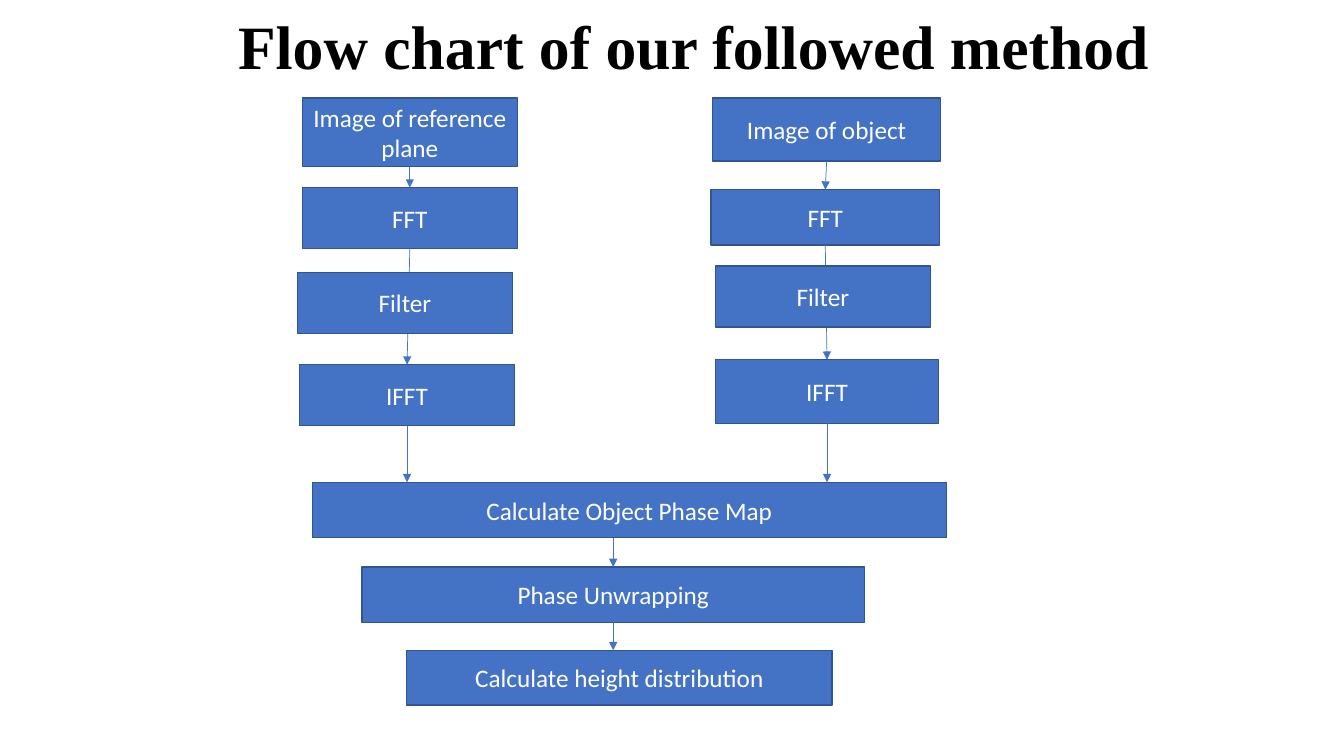
from lxml import etree
from pptx import Presentation
from pptx.dml.color import RGBColor
from pptx.enum.shapes import MSO_CONNECTOR, MSO_SHAPE
from pptx.enum.text import MSO_ANCHOR, PP_ALIGN
from pptx.oxml.ns import qn
from pptx.util import Pt

RECTANGLE = MSO_SHAPE.RECTANGLE
STRAIGHT = MSO_CONNECTOR.STRAIGHT
MIDDLE = MSO_ANCHOR.MIDDLE
CENTER = PP_ALIGN.CENTER

BLUE = RGBColor(0x44, 0x72, 0xC4)
DARK_BLUE = RGBColor(0x32, 0x54, 0x91)
WHITE = RGBColor(0xFF, 0xFF, 0xFF)
BLACK = RGBColor(0, 0, 0)

TOP_SITE, BOTTOM_SITE = 0, 2

# Each step: text, left, top, width, height in points
REFERENCE_STEPS = [
    ("Image of reference plane", 216, 70, 153.5, 49),
    ("FFT", 216, 134, 153.5, 43.5),
    ("IFFT", 214, 260.5, 153.5, 43.5),
]
OBJECT_STEPS = [
    ("Image of object", 509, 70, 163, 45),
    ("FFT", 508, 135.5, 163, 39.5),
    ("IFFT", 511, 257, 159.5, 45.5),
]
SHARED_STEPS = [
    ("Calculate Object Phase Map", 223, 344.5, 453, 39.5),
    ("Phase Unwrapping", 258.5, 405, 359, 39.5),
    ("Calculate height distribution", 290.5, 464.5, 304, 39),
]
FILTERS = [
    ("Filter", 212.5, 194.5, 153.5, 43.5),
    ("Filter", 511, 190, 153.5, 43.5),
]


def add_run(paragraph, text, font, size, color, bold=False):
    run = paragraph.add_run()
    run.text = text
    run.font.name = font
    run.font.size = Pt(size)
    run.font.bold = bold
    run.font.color.rgb = color


def add_title(slide, text):
    title = slide.shapes.add_textbox(Pt(53.5), Pt(11), Pt(782), Pt(49.5))
    frame = title.text_frame
    frame.word_wrap = True
    frame.vertical_anchor = MIDDLE
    paragraph = frame.paragraphs[0]
    paragraph.line_spacing = 0.9
    paragraph._p.get_or_add_pPr().set("marL", str(Pt(109.5)))
    add_run(paragraph, text, "Times New Roman", 44, BLACK, bold=True)


def add_step(slide, text, left, top, width, height):
    step = slide.shapes.add_shape(RECTANGLE, Pt(left), Pt(top), Pt(width), Pt(height))
    step.shadow.inherit = False
    step.fill.solid()
    step.fill.fore_color.rgb = BLUE
    step.line.color.rgb = DARK_BLUE
    step.line.width = Pt(1)
    frame = step.text_frame
    frame.word_wrap = True
    frame.vertical_anchor = MIDDLE
    paragraph = frame.paragraphs[0]
    paragraph.alignment = CENTER
    add_run(paragraph, text, "Calibri", 18, WHITE)
    return step


def center_x(step):
    return step.left + step.width // 2


def add_arrow(slide, source, target, start_x=None, end_x=None):
    """Join source to target; an end with a given x stays unglued."""
    arrow = slide.shapes.add_connector(
        STRAIGHT,
        center_x(source) if start_x is None else start_x, source.top + source.height,
        center_x(target) if end_x is None else end_x, target.top)
    if start_x is None:
        arrow.begin_connect(source, BOTTOM_SITE)
    if end_x is None:
        arrow.end_connect(target, TOP_SITE)
    arrow.line.color.rgb = BLUE
    arrow.line.width = Pt(0.5)
    etree.SubElement(arrow.line._get_or_add_ln(), qn("a:tailEnd"), type="triangle")
    etree.SubElement(arrow._element.spPr, qn("a:effectLst"))


def add_chain(slide, steps):
    return [add_step(slide, *step) for step in steps]


def main():
    deck = Presentation()
    deck.slide_width, deck.slide_height = Pt(960), Pt(540)
    slide = deck.slides.add_slide(deck.slide_layouts[6])

    add_title(slide, "Flow chart of our followed method")
    branches = [add_chain(slide, steps) for steps in (REFERENCE_STEPS, OBJECT_STEPS)]
    phase_map, unwrapping, height_distribution = add_chain(slide, SHARED_STEPS)

    for image, fft, ifft in branches:
        add_arrow(slide, image, fft)
        add_arrow(slide, fft, ifft)
        add_arrow(slide, ifft, phase_map, end_x=center_x(ifft))
    unwrapping_x = center_x(unwrapping)
    add_arrow(slide, phase_map, unwrapping, start_x=unwrapping_x)
    add_arrow(slide, unwrapping, height_distribution, end_x=unwrapping_x)

    # The filters cover the middle of the arrows from FFT to IFFT
    add_chain(slide, FILTERS)
    deck.save("out.pptx")


if __name__ == "__main__":
    main()
